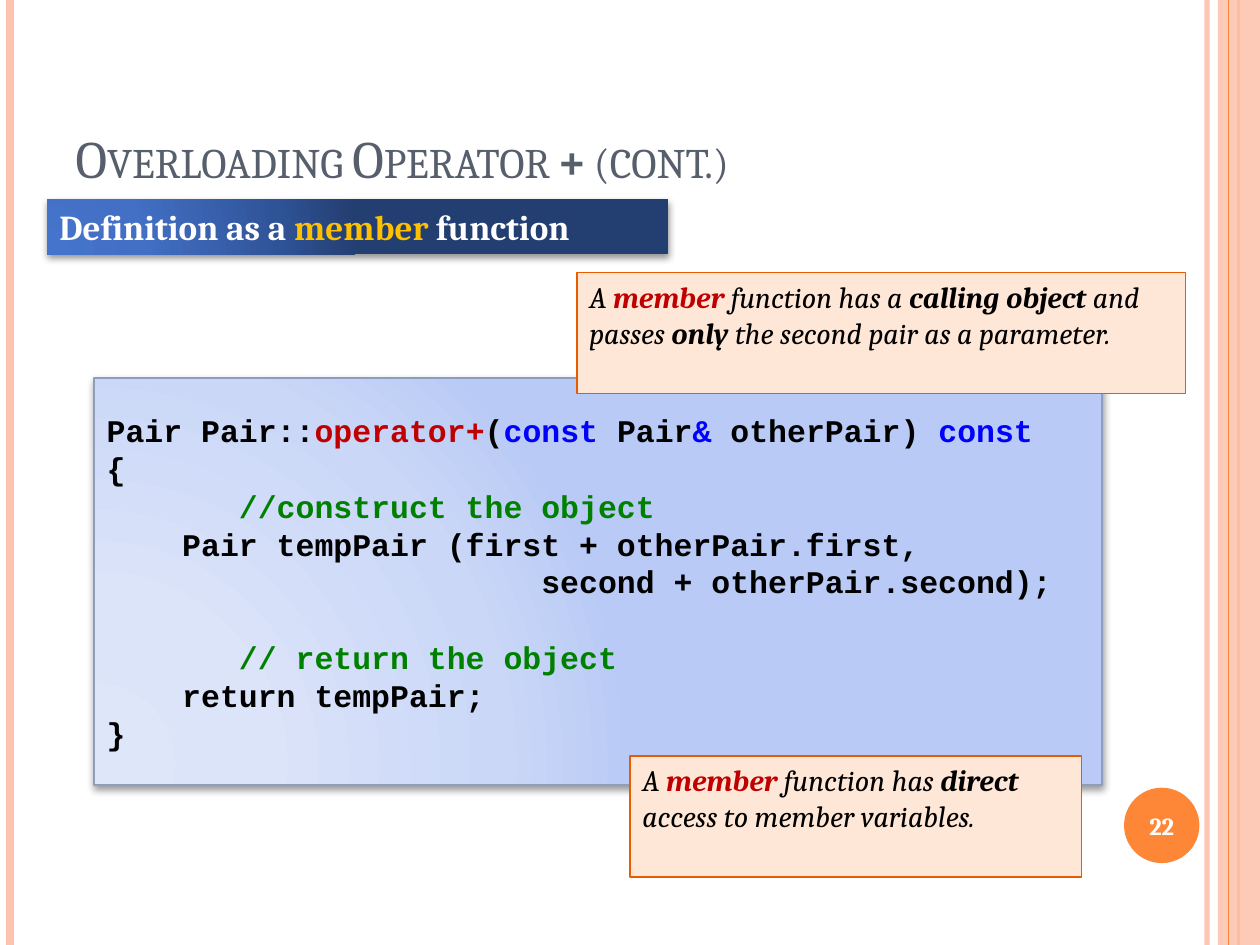
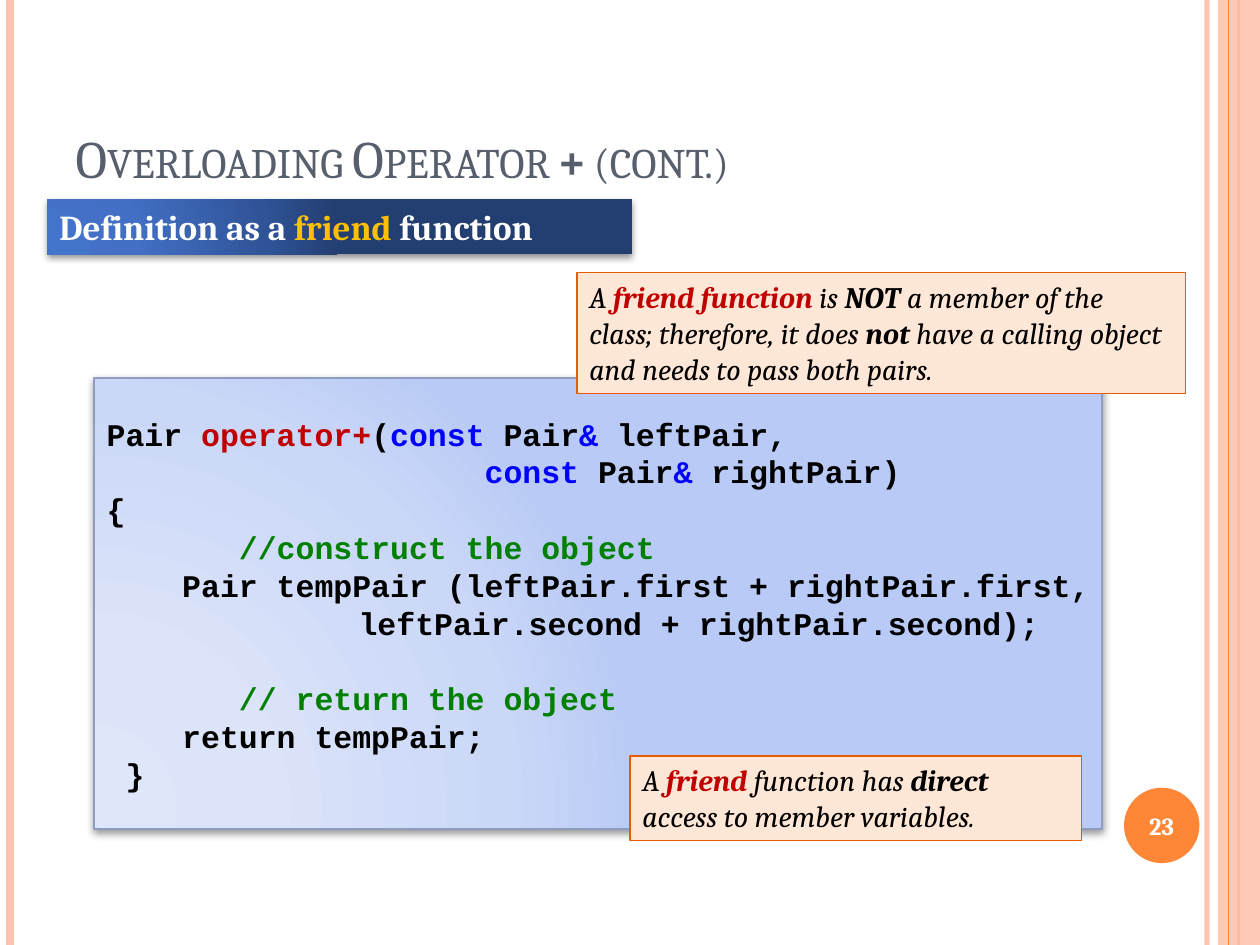
import pptx
import pptx.dml.color
import pptx.enum.shapes
import pptx.enum.text
import pptx.oxml
import pptx.oxml.ns
import pptx.util
import lxml.etree

Cm = pptx.util.Cm
Pt = pptx.util.Pt
RGBColor = pptx.dml.color.RGBColor
Shape = pptx.enum.shapes.MSO_SHAPE
Anchor = pptx.enum.text.MSO_ANCHOR
Align = pptx.enum.text.PP_ALIGN
qn = pptx.oxml.ns.qn

BLACK = RGBColor(0, 0, 0)
WHITE = RGBColor(255, 255, 255)
RED = RGBColor(0xC0, 0, 0)
BLUE = RGBColor(0, 0, 255)
GREEN = RGBColor(0, 0x80, 0)
GOLD = RGBColor(0xFF, 0xC0, 0)
SLATE = RGBColor(0x57, 0x5F, 0x6D)
PEACH = RGBColor(0xFE, 0xC3, 0xAE)
ORANGE = RGBColor(0xFE, 0x86, 0x37)
CREAM = RGBColor(0xFF, 0xE7, 0xD7)
RUST = RGBColor(0xE7, 0x5C, 0x01)
STEEL = RGBColor(0x8D, 0x9C, 0xBF)
PALE = [RGBColor.from_string(c) for c in ("DEE6FA", "DBE4F9", "CAD7F7", "B8CAF5")]
NAVY = [RGBColor.from_string(c) for c in ("4574CC", "4370C5", "2F5397", "233E70")]
STOPS = (0, 30, 75, 100)

SERIF = "Cambria"
MONO = "Courier New"
CODE_SIZE = 18
CHAR = 0.381
PITCH = 21.6

WIDE, HIGH = 25.4, 19.05
TITLE_BOX = (1.27, 0.76, 23.29, 3.18)
BADGE_BOX = (22.66, 15.88, 1.52, 1.52)


def add_run(para, text, color, size, face=SERIF, bold=False, slant=False):
    run = para.add_run()
    run.text = text
    font = run.font
    font.name, font.size, font.bold, font.italic = face, Pt(size), bold, slant
    font.color.rgb = color
    return run


def set_alpha(fill, part):
    color = fill.find(".//" + qn("a:srgbClr"))
    lxml.etree.SubElement(color, qn("a:alpha"), val=str(part * 1000))


def add_block(slide, box, fill=None, line=None, width=0.75, kind=Shape.RECTANGLE):
    block = slide.shapes.add_shape(kind, *map(Cm, box))
    block.shadow.inherit = False
    if fill is None:
        block.fill.background()
    else:
        block.fill.solid()
        block.fill.fore_color.rgb = fill
    if line is None:
        block.line.fill.background()
    else:
        block.line.color.rgb = line
        block.line.width = Pt(width)
    frame = block.text_frame
    frame.word_wrap = True
    frame.vertical_anchor = Anchor.TOP
    frame.paragraphs[0].alignment = Align.LEFT
    return block


def add_glow(block, colors):
    props = block.element.spPr
    stops = "".join(f'<a:gs pos="{pos * 1000}"><a:srgbClr val="{color}"/></a:gs>'
                    for pos, color in zip(STOPS, colors))
    grad = pptx.oxml.parse_xml(
        f'<a:gradFill {pptx.oxml.ns.nsdecls("a")} rotWithShape="1">'
        f'<a:gsLst>{stops}</a:gsLst><a:path path="circle">'
        '<a:fillToRect l="5000" t="100000" r="120000" b="10000"/>'
        '</a:path></a:gradFill>')
    props.replace(props.find(qn("a:noFill")), grad)


def add_shade(block, alpha, drop):
    effects = block.element.spPr.find(qn("a:effectLst"))
    shade = lxml.etree.SubElement(
        effects, qn("a:outerShdw"), blurRad=str(int(Pt(4))), dist=str(int(Pt(drop))),
        dir="5400000", algn="ctr", rotWithShape="0")
    color = lxml.etree.SubElement(shade, qn("a:srgbClr"), val=str(BLACK))
    lxml.etree.SubElement(color, qn("a:alpha"), val=str(alpha * 1000))


def add_rule(slide, left, color, width, alpha=None):
    rule = slide.shapes.add_connector(
        pptx.enum.shapes.MSO_CONNECTOR.STRAIGHT, Cm(left), Cm(0), Cm(left), Cm(HIGH))
    rule.line.color.rgb = color
    rule.line.width = Pt(width)
    props = rule.element.spPr
    lxml.etree.SubElement(props, qn("a:effectLst"))
    if alpha:
        set_alpha(props.find(qn("a:ln")), alpha)


def draw_frame(slide, number):
    add_rule(slide, 24.33, PEACH, 3, 93)
    add_rule(slide, 0.2, PEACH, 4.5)
    add_rule(slide, 24.97, ORANGE, 1.5)
    strip = add_block(slide, (24.55, 0, WIDE - 24.55, HIGH), PEACH)
    set_alpha(strip.element.spPr.find(qn("a:solidFill")), 87)
    add_rule(slide, 24.77, ORANGE, 0.75)
    badge = add_block(slide, BADGE_BOX, ORANGE, kind=Shape.OVAL)
    frame = badge.text_frame
    frame.margin_left = frame.margin_right = 0
    frame.vertical_anchor = Anchor.MIDDLE
    para = frame.paragraphs[0]
    para.alignment = Align.CENTER
    add_run(para, str(number), WHITE, 14, bold=True)


def draw_title(slide, box):
    title = slide.shapes.title
    title.left, title.top, title.width, title.height = map(Cm, box)
    frame = title.text_frame
    frame.auto_size = pptx.enum.text.MSO_AUTO_SIZE.NONE
    frame.vertical_anchor = Anchor.BOTTOM
    para = frame.paragraphs[0]
    para.alignment = Align.LEFT
    for text, face, bold in (("Overloading Operator ", SERIF, False),
                             ("+", MONO, True), (" (cont.)", SERIF, False)):
        run = add_run(para, text, SLATE, 30, face, bold)
        run.font._element.set("cap", "small")


def draw_banner(slide, box, word):
    banner = add_block(slide, box)
    add_glow(banner, NAVY)
    add_shade(banner, 42, 1.6)
    para = banner.text_frame.paragraphs[0]
    for text, color in (("Definition as a ", WHITE), (word + " ", GOLD), ("function", WHITE)):
        add_run(para, text, color, 20, bold=True)


def draw_code(slide, box, lines):
    panel = add_block(slide, box, line=STEEL, width=1)
    add_glow(panel, PALE)
    add_shade(panel, 40, 2)
    frame = panel.text_frame
    frame.vertical_anchor = Anchor.MIDDLE
    for row, (indent, gap, runs) in enumerate(lines):
        para = frame.add_paragraph() if row else frame.paragraphs[0]
        para.alignment = Align.LEFT
        para.line_spacing = Pt(PITCH)
        para.space_before = Pt(gap * PITCH)
        para._p.get_or_add_pPr().set("marL", str(int(Cm(indent * CHAR))))
        for text, color in runs:
            add_run(para, text, color, CODE_SIZE, MONO, True)


def draw_note(slide, box, runs):
    note = add_block(slide, box, CREAM, RUST)
    for text, color, bold in runs:
        add_run(note.text_frame.paragraphs[0], text, color, 17, bold=bold, slant=True)


def plain(text):
    return text, BLACK, False


def strong(text, color=BLACK):
    return text, color, True


def body(first, second, shift, close):
    return [
        (0, 0, [("{", BLACK)]),
        (7, 0, [("//construct the object", GREEN)]),
        (4, 0, [(f"Pair tempPair ({first}", BLACK)]),
        (shift, 0, [(second, BLACK)]),
        (7, 1, [("// return the object", GREEN)]),
        (4, 0, [("return tempPair;", BLACK)]),
        (close, 0, [("}", BLACK)]),
    ]


def draw_slide(deck, page):
    slide = deck.slides.add_slide(deck.slide_layouts[5])
    word = page["word"]
    draw_frame(slide, page["number"])
    draw_code(slide, (1.9, 7.62, 20.32, page["code_high"]), page["code"])
    draw_title(slide, TITLE_BOX)
    draw_note(slide, (12.7, 15.24, 9.1, page["note_high"]), [
        plain("A "), strong(word, RED), plain(" function has "),
        strong("direct"), plain(" access to member variables.")])
    draw_note(slide, (11.63, 5.5, 12.27, 2.44), page["note"])
    draw_banner(slide, (0.95, 4.02, page["banner"], 1.11), word)


PAGES = [
    dict(word="member", number=22, banner=12.52, code_high=8.2, note_high=2.44,
         note=[plain("A "), strong("member", RED), plain(" function has a "),
               strong("calling object "), plain("and passes "), strong("only"),
               plain(" the second pair as a parameter.")],
         code=[(0, 0, [("Pair Pair::", BLACK), ("operator+", RED), ("(", BLACK),
                       ("const", BLUE), (" Pair", BLACK), ("& ", BLUE),
                       ("otherPair) ", BLACK), ("const", BLUE)])]
         + body("first + otherPair.first,", "second + otherPair.second);", 23, 0)),
    dict(word="friend", number=23, banner=11.79, code_high=9.1, note_high=1.7,
         note=[plain("A "), strong("friend function ", RED), plain("is "), strong("NOT"),
               plain(" a member of the class; therefore, it does "), strong("not"),
               plain(" have a calling object and needs to pass both pairs.")],
         code=[(0, 0, [("Pair ", BLACK), ("operator+", RED), ("(", BLACK),
                       ("const", BLUE), (" Pair", BLACK), ("& ", BLUE),
                       ("leftPair,", BLACK)]),
               (20, 0, [("const ", BLUE), ("Pair", BLACK), ("& ", BLUE),
                        ("rightPair)", BLACK)])]
         + body("leftPair.first + rightPair.first,",
                "leftPair.second + rightPair.second);", 13.33, 1)),
]

deck = pptx.Presentation()
deck.slide_width, deck.slide_height = Cm(WIDE), Cm(HIGH)
for page in PAGES:
    draw_slide(deck, page)
deck.save("out.pptx")
